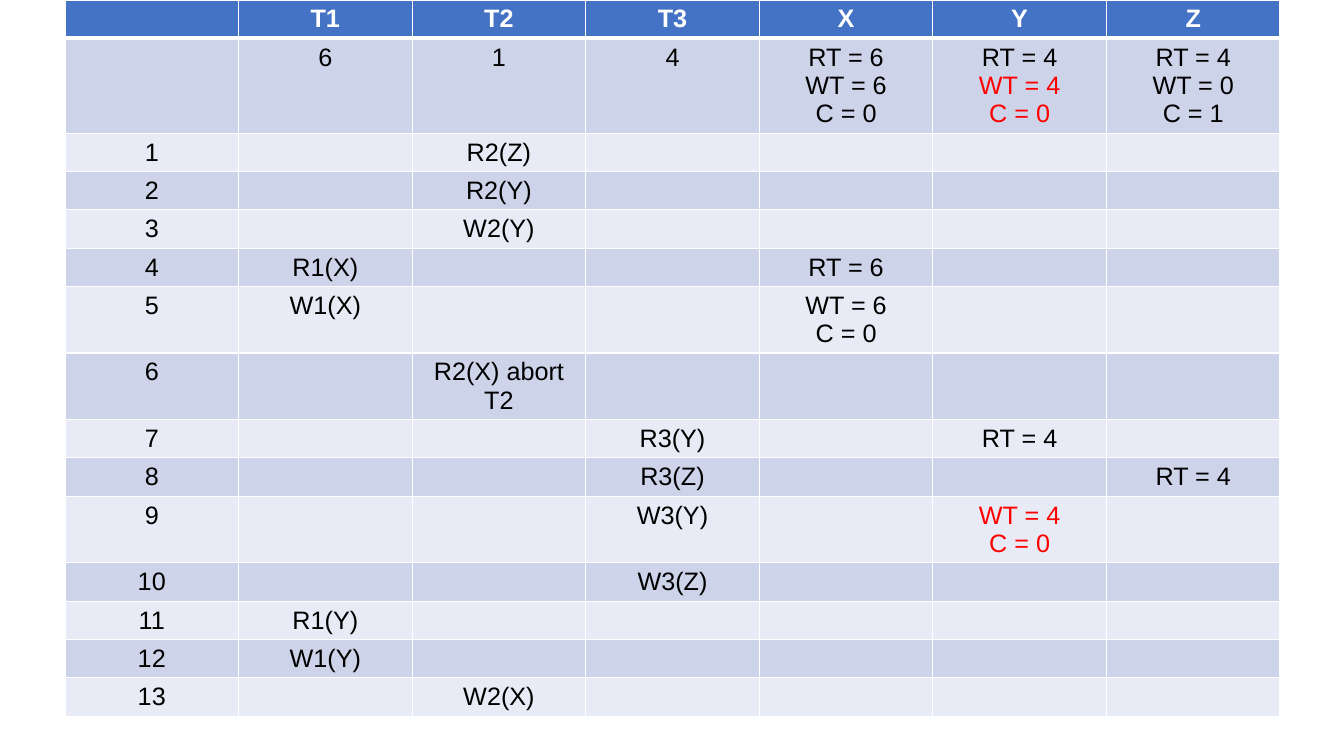
import pptx
import pptx.dml.color
import pptx.enum.text
import pptx.oxml
import pptx.oxml.ns
import pptx.util

Pt = pptx.util.Pt
RGBColor = pptx.dml.color.RGBColor

WHITE = RGBColor(0xFF, 0xFF, 0xFF)
BLACK = RGBColor(0, 0, 0)
RED = RGBColor(0xFF, 0, 0)
HEADER_BLUE = RGBColor(0x44, 0x72, 0xC4)
BANDS = (RGBColor(0xCD, 0xD4, 0xEA), RGBColor(0xE8, 0xEB, 0xF5))

ROW_HEIGHTS = {1: 27.4, 2: 47.2, 3: 67.5}
COLUMNS = ["", "T1", "T2", "T3", "X", "Y", "Z"]
START = {
    "T1": "6", "T2": "1", "T3": "4",
    "X": "RT = 6\nWT = 6\nC = 0",
    "Y": "RT = 4\nWT = 4\nC = 0",
    "Z": "RT = 4\nWT = 0\nC = 1",
}
STEPS = [
    {"T2": "R2(Z)"},
    {"T2": "R2(Y)"},
    {"T2": "W2(Y)"},
    {"T1": "R1(X)", "X": "RT = 6"},
    {"T1": "W1(X)", "X": "WT = 6\nC = 0"},
    {"T2": "R2(X) abort T2"},
    {"T3": "R3(Y)", "Y": "RT = 4"},
    {"T3": "R3(Z)", "Z": "RT = 4"},
    {"T3": "W3(Y)", "Y": "WT = 4\nC = 0"},
    {"T3": "W3(Z)"},
    {"T1": "R1(Y)"},
    {"T1": "W1(Y)"},
    {"T2": "W2(X)"},
]


class SchedulePage:
    """Draws the timestamp schedule on one slide in a single table style."""

    font_name = "Arial"
    font_size = Pt(18)

    def __init__(self, deck):
        self.page = deck.slides.add_slide(deck.slide_layouts[6])

    def border(self, cell, side, width):
        properties = cell._tc.get_or_add_tcPr()
        properties.append(pptx.oxml.parse_xml(
            f'<a:{side} {pptx.oxml.ns.nsdecls("a")} w="{Pt(width)}">'
            f'<a:solidFill><a:srgbClr val="{WHITE}"/></a:solidFill></a:{side}>'))

    def cell(self, cell, text, row, column):
        header = row == 0
        heavy_side = {0: "lnB", 1: "lnT"}.get(row)
        for side in ("lnL", "lnR", "lnT", "lnB"):
            self.border(cell, side, 3 if side == heavy_side else 1)
        cell.fill.solid()
        cell.fill.fore_color.rgb = HEADER_BLUE if header else BANDS[(row - 1) % 2]
        cell.text = text
        for para in cell.text_frame.paragraphs:
            para.alignment = pptx.enum.text.PP_ALIGN.CENTER
            para.font.name = self.font_name
            para.font.size = self.font_size
            para.font.bold = header
            uncommitted = column == "Y" and para.text.startswith(("WT", "C ="))
            para.font.color.rgb = WHITE if header else RED if uncommitted else BLACK

    def table(self, left, top, column_width, columns, rows):
        lines = [2 if "abort" in "".join(row) else
                 max(text.count("\n") + 1 for text in row) for row in rows]
        heights = [ROW_HEIGHTS[count] for count in lines]
        table = self.page.shapes.add_table(
            len(rows), len(columns), Pt(left), Pt(top),
            Pt(column_width * len(columns)), Pt(sum(heights))).table
        for column in table.columns:
            column.width = Pt(column_width)
        for row_index, (texts, height) in enumerate(zip(rows, heights)):
            table.rows[row_index].height = Pt(height)
            for column_index, (name, text) in enumerate(zip(columns, texts)):
                self.cell(table.cell(row_index, column_index), text, row_index, name)


def main():
    deck = pptx.Presentation()
    deck.slide_width, deck.slide_height = Pt(960), Pt(540)
    rows = [COLUMNS, [START.get(name, "") for name in COLUMNS]]
    for number, step in enumerate(STEPS, 1):
        rows.append([str(number)] + [step.get(name, "") for name in COLUMNS[1:]])
    SchedulePage(deck).table(46.4, 0, 124, COLUMNS, rows)
    deck.save("out.pptx")


if __name__ == "__main__":
    main()
